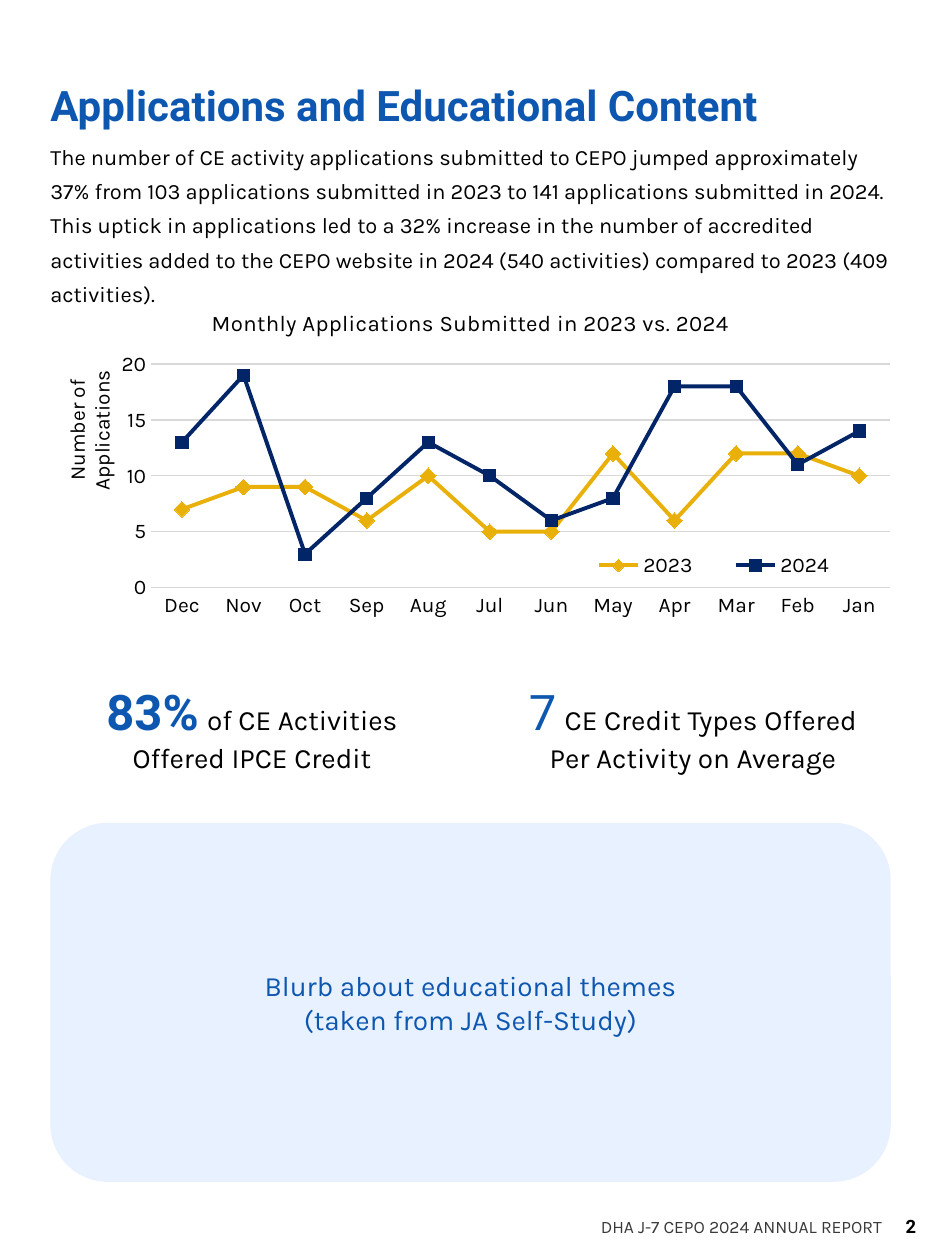
from dataclasses import dataclass

from pptx import Presentation
from pptx.chart.data import CategoryChartData
from pptx.dml.color import RGBColor
from pptx.enum.chart import XL_CHART_TYPE, XL_LEGEND_POSITION, XL_MARKER_STYLE, XL_TICK_MARK
from pptx.enum.shapes import MSO_SHAPE
from pptx.enum.text import MSO_ANCHOR, MSO_AUTO_SIZE, PP_ALIGN
from pptx.oxml import parse_xml
from pptx.oxml.ns import nsdecls, qn
from pptx.util import Inches, Pt


@dataclass(frozen=True)
class Theme:
    head: str = "Roboto"
    text: str = "Karla"
    ink: str = "000000"
    blue: str = "0D57B0"
    navy: str = "022568"
    gold: str = "E9B009"
    pale: str = "E8F1FF"
    grid: str = "D9D9D9"
    gray: str = "3B3838"
    title: float = 24
    stat: float = 28
    gap: float = 20
    call: float = 16
    cap: float = 12.7
    body: float = 12.5
    axis: float = 12
    page: float = 10.5
    foot: float = 10


THEME = Theme()
COLS, ROWS = 75, 100
UNIT = Inches(0.1)
EDGE, WIDE = 4, 66.7


def style(font, size, face=THEME.text, color=THEME.ink, bold=False):
    font.size = Pt(size)
    font.name = face
    font.bold = bold
    font.color.rgb = RGBColor.from_string(color)


def write(para, text, track=0, **form):
    for row, line in enumerate(text.split("\n")):
        if row:
            para.add_line_break()
        run = para.add_run()
        run.text = line
        style(run.font, **form)
        if track:
            run.font._element.set("spc", str(track))


def layout(part, x, y, wide=None, high=None, inner=False):
    old = part.find(qn("c:layout"))
    if old is not None:
        part.remove(old)
    tags = '<c:layoutTarget val="inner"/>' if inner else ""
    tags += '<c:xMode val="edge"/><c:yMode val="edge"/>'
    for tag, val in zip("xywh", (x, y, wide, high)):
        if val is not None:
            tags += f'<c:{tag} val="{val}"/>'
    node = parse_xml(f'<c:layout {nsdecls("c")}><c:manualLayout>{tags}</c:manualLayout></c:layout>')
    over = part.find(qn("c:overlay"))
    if over is None:
        part.insert(0, node)
    else:
        over.addprevious(node)


class Page:
    def __init__(self, deck, theme):
        self.theme = theme
        self.slide = deck.slides.add_slide(deck.slide_layouts[1])

    def place(self, shape, box):
        shape.left, shape.top, shape.width, shape.height = (round(n * UNIT) for n in box)

    def holder(self, slot, box, text, space, above=0, **form):
        shape = self.slide.placeholders[slot]
        self.place(shape, box)
        frame = shape.text_frame
        frame.auto_size = MSO_AUTO_SIZE.NONE
        frame.margin_left = frame.margin_right = EDGE * UNIT
        para = frame.paragraphs[0]
        para.alignment = PP_ALIGN.LEFT
        para.line_spacing = space
        para.space_before = Pt(above)
        props = para._p.get_or_add_pPr()
        props.set("marL", "0")
        props.set("indent", "0")
        props.append(parse_xml(f'<a:buNone {nsdecls("a")}/>'))
        write(para, text, **form)

    def label(self, box, text, align=PP_ALIGN.LEFT, anchor=MSO_ANCHOR.BOTTOM, space=1, **form):
        shape = self.slide.shapes.add_textbox(0, 0, 0, 0)
        self.place(shape, box)
        frame = shape.text_frame
        frame.word_wrap = True
        frame.vertical_anchor = anchor
        para = frame.paragraphs[0]
        para.alignment = align
        para.line_spacing = space
        write(para, text, **form)

    def panel(self, box, runs, fill=None):
        shape = self.slide.shapes.add_shape(MSO_SHAPE.ROUNDED_RECTANGLE, 0, 0, 0, 0)
        self.place(shape, box)
        shape.adjustments[0] = 0.16
        shape.shadow.inherit = False
        shape.line.fill.background()
        if fill:
            shape.fill.solid()
            shape.fill.fore_color.rgb = RGBColor.from_string(fill)
        else:
            shape.fill.background()
        frame = shape.text_frame
        frame.word_wrap = True
        frame.vertical_anchor = MSO_ANCHOR.MIDDLE
        para = frame.paragraphs[0]
        para.alignment = PP_ALIGN.CENTER
        for text, form in runs:
            write(para, text, **form)

    def graph(self, box, names, lines):
        look = self.theme
        data = CategoryChartData(number_format="#,##0")
        data.categories = names
        for name, vals, *_ in lines:
            data.add_series(name, vals)
        frame = self.slide.shapes.add_chart(XL_CHART_TYPE.LINE_MARKERS, 0, 0, UNIT, UNIT, data)
        self.place(frame, box)
        chart = frame.chart
        chart.has_title = False
        style(chart.font, look.axis)
        chart.plots[0].vary_by_categories = False
        layout(chart._chartSpace.chart.plotArea, 0.12, 0.04, 0.88, 0.8, inner=True)

        for line, (_, _, color, mark, size) in zip(chart.plots[0].series, lines):
            tint = RGBColor.from_string(color)
            line.smooth = False
            line.format.line.color.rgb = tint
            line.format.line.width = Pt(2.25)
            line.marker.style = mark
            line.marker.size = size
            for form in (line.marker.format.fill, line.marker.format.line.fill):
                form.solid()
                form.fore_color.rgb = tint

        base, scale = chart.category_axis, chart.value_axis
        for axis in (base, scale):
            axis.major_tick_mark = axis.minor_tick_mark = XL_TICK_MARK.NONE
            style(axis.tick_labels.font, look.axis)
        scale.minimum_scale, scale.maximum_scale, scale.major_unit = 0, 20, 5
        scale.format.line.fill.background()
        for form in (base.format, scale.major_gridlines.format):
            form.line.color.rgb = RGBColor.from_string(look.grid)
            form.line.width = Pt(0.75)

        title = scale.axis_title
        title.text_frame._txBody.bodyPr.set("rot", "-5400000")
        write(title.text_frame.paragraphs[0], "Number of\nApplications", size=look.axis)
        layout(title._element, 0.01, 0.05)

        chart.has_legend = True
        chart.legend.position = XL_LEGEND_POSITION.BOTTOM
        chart.legend.include_in_layout = False
        style(chart.legend.font, look.axis)
        layout(chart.legend._element, 0.61, 0.83 - 0.13, 0.36, 0.12)


def main():
    look = THEME
    deck = Presentation()
    deck.slide_width, deck.slide_height = COLS * UNIT, ROWS * UNIT
    page = Page(deck, look)

    page.holder(0, (0, 5.5, COLS, 5.2), "Applications and Educational Content", 1.1,
                size=look.title, face=look.head, color=look.blue, bold=True)
    page.holder(1, (0, 10.3, COLS, 16.3),
                "The number of CE activity applications submitted to CEPO jumped approximately 37% "
                "from 103 applications submitted in 2023 to 141 applications submitted in 2024. "
                "This uptick in applications led to a 32% increase in the number of accredited "
                "activities added to the CEPO website in 2024 (540 activities) compared to 2023 "
                "(409 activities).", 1.3, above=7.5, size=look.body)

    page.label((EDGE, 23.6, WIDE, 3.3), "Monthly Applications Submitted in 2023 vs. 2024",
               PP_ALIGN.CENTER, MSO_ANCHOR.TOP, 1.2, size=look.cap, track=20)
    page.graph((EDGE, 27.9, WIDE, 22.3),
               "Dec Nov Oct Sep Aug Jul Jun May Apr Mar Feb Jan".split(),
               [("2023", (7, 9, 9, 6, 10, 5, 5, 12, 6, 12, 12, 10),
                 look.gold, XL_MARKER_STYLE.DIAMOND, 9),
                ("2024", (13, 19, 3, 8, 13, 10, 6, 8, 18, 18, 11, 14),
                 look.navy, XL_MARKER_STYLE.SQUARE, 7)])

    stats = [("83%", True, "of CE Activities Offered IPCE Credit"),
             ("7", False, "CE Credit Types Offered\nPer Activity on Average")]
    for col, (stat, bold, text) in enumerate(stats):
        page.panel((EDGE + 35 * col, 51.6, 32, 12.3), [
            (stat, dict(size=look.stat, face=look.head, color=look.blue, bold=bold)),
            (" ", dict(size=look.gap)),
            (text, dict(size=look.call))])
    page.panel((EDGE, 65.3, WIDE, 28.5),
               [("Blurb about educational themes\n(taken from JA Self-Study)",
                 dict(size=look.call, color=look.blue))], look.pale)

    page.label((46.7, 93.7, 25.4, 5), "DHA J-7 CEPO 2024 ANNUAL REPORT",
               size=look.foot, color=look.gray)
    page.label((64.1, 93.7, 9.6, 5), "2", PP_ALIGN.RIGHT,
               size=look.page, face=look.head, bold=True)
    deck.save("out.pptx")


if __name__ == "__main__":
    main()
